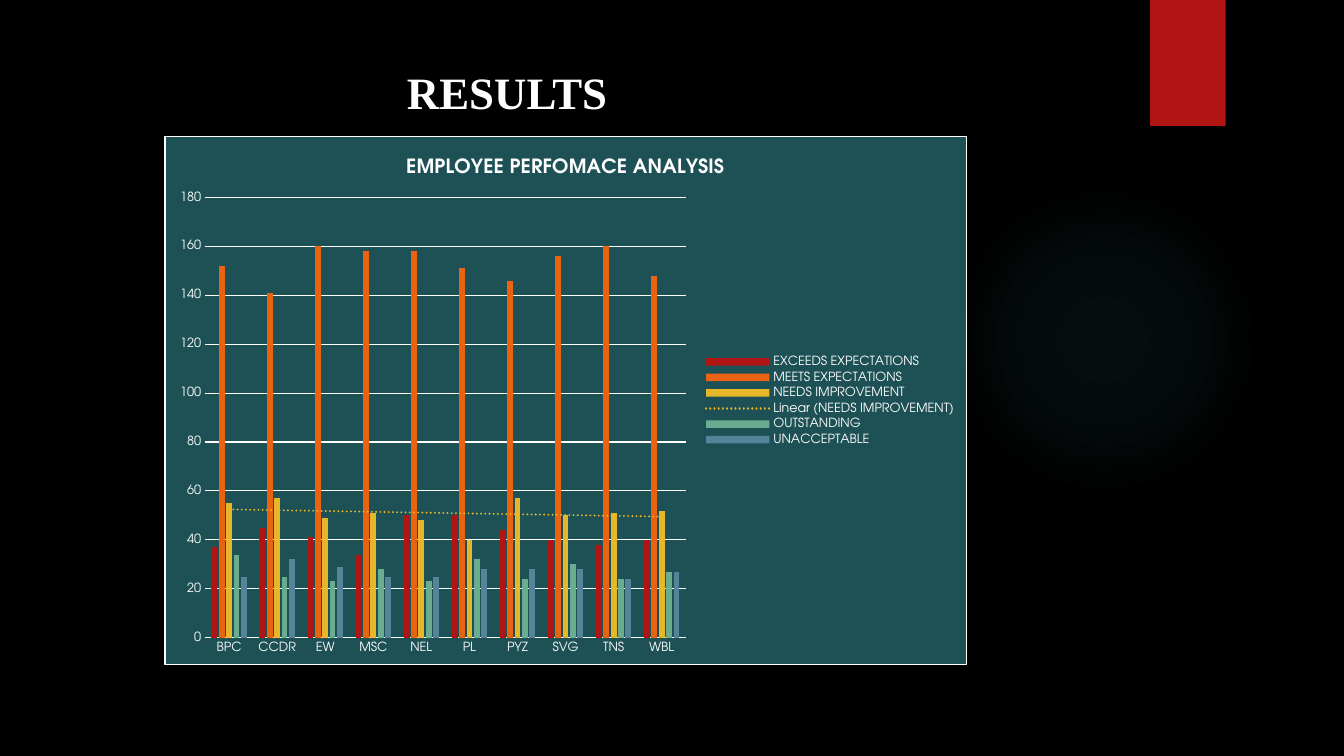
from pptx import Presentation
from pptx.chart.data import CategoryChartData
from pptx.dml.color import RGBColor
from pptx.enum.chart import XL_CHART_TYPE, XL_LEGEND_POSITION, XL_TICK_MARK
from pptx.enum.shapes import MSO_SHAPE
from pptx.enum.text import MSO_ANCHOR, PP_ALIGN
from pptx.oxml import parse_xml
from pptx.util import Pt

COLUMN = XL_CHART_TYPE.COLUMN_CLUSTERED
RIGHT = XL_LEGEND_POSITION.RIGHT
NONE = XL_TICK_MARK.NONE
OVAL, RECT = MSO_SHAPE.OVAL, MSO_SHAPE.RECTANGLE
MIDDLE, LEFT = MSO_ANCHOR.MIDDLE, PP_ALIGN.LEFT

BLACK = RGBColor(0x00, 0x00, 0x00)
WHITE = RGBColor(0xFF, 0xFF, 0xFF)
RED = RGBColor(0xB0, 0x15, 0x13)
ORANGE = RGBColor(0xEA, 0x63, 0x12)
YELLOW = RGBColor(0xE6, 0xB7, 0x29)
GREEN = RGBColor(0x6A, 0xAC, 0x90)
BLUE = RGBColor(0x54, 0x84, 0x9A)
TEAL = RGBColor(0x1E, 0x51, 0x55)
GLOW = RGBColor(0x50, 0xB9, 0xC1)

FACE = "TeX Gyre Adventor"
SPACES = (
    'xmlns:a="http://schemas.openxmlformats.org/drawingml/2006/main" '
    'xmlns:c="http://schemas.openxmlformats.org/drawingml/2006/chart"'
)
UNITS = ["BPC", "CCDR", "EW", "MSC", "NEL", "PL", "PYZ", "SVG", "TNS", "WBL"]
SERIES = [
    ("EXCEEDS EXPECTATIONS", RED, [37, 45, 41, 34, 50, 50, 44, 40, 38, 40]),
    ("MEETS EXPECTATIONS", ORANGE, [152, 141, 160, 158, 158, 151, 146, 156, 160, 148]),
    ("NEEDS IMPROVEMENT", YELLOW, [55, 57, 49, 51, 48, 40, 57, 50, 51, 52]),
    ("OUTSTANDING", GREEN, [34, 25, 23, 28, 23, 32, 24, 30, 24, 27]),
    ("UNACCEPTABLE", BLUE, [25, 32, 29, 25, 25, 28, 28, 28, 24, 27]),
]


def style(font, size, face=FACE, bold=False):
    font.size = Pt(size)
    font.name = face
    font.bold = bold
    font.color.rgb = WHITE


def stroke(line):
    line.color.rgb = WHITE
    line.width = Pt(0.75)


deck = Presentation()
deck.slide_width, deck.slide_height = Pt(960), Pt(540)
slide = deck.slides.add_slide(deck.slide_layouts[5])
slide.background.fill.solid()
slide.background.fill.fore_color.rgb = BLACK

glow = slide.shapes.add_shape(OVAL, Pt(677.5), Pt(131.75), Pt(221.75), Pt(221.75))
flag = slide.shapes.add_shape(RECT, Pt(821.5), Pt(0), Pt(54), Pt(90))
for shape in (glow, flag):
    shape.shadow.inherit = False
    shape.line.fill.background()
flag.fill.solid()
flag.fill.fore_color.rgb = RED

glow.fill.gradient()
stops = "".join(
    f'<a:gs pos="{spot * 1000}"><a:srgbClr val="{GLOW}">'
    f'<a:alpha val="{alpha * 1000}"/></a:srgbClr></a:gs>'
    for spot, alpha in ((0, 7), (36, 6), (69, 0))
)
blend = parse_xml(
    f'<a:gradFill {SPACES} rotWithShape="1"><a:gsLst>{stops}</a:gsLst>'
    '<a:path path="circle"><a:fillToRect l="50000" t="50000" r="50000" b="50000"/>'
    '</a:path></a:gradFill>'
)
props = glow._element.spPr
props.replace(props.gradFill, blend)

title = slide.shapes.title
title.left, title.top, title.width, title.height = Pt(283.5), Pt(42.5), Pt(546.5), Pt(46)
title.text_frame.text = "RESULTS"
title.text_frame.vertical_anchor = MIDDLE
head = title.text_frame.paragraphs[0]
head.alignment = LEFT
style(head.runs[0].font, 32, "Times New Roman", True)

data = CategoryChartData()
data.categories = UNITS
for name, color, vals in SERIES:
    data.add_series(name, vals)
frame = slide.shapes.add_chart(COLUMN, Pt(117.5), Pt(97.25), Pt(573), Pt(378), data)
chart = frame.chart
style(chart.font, 10)

chart.has_title = True
chart.chart_title.include_in_layout = False
label = chart.chart_title.text_frame
label.text = "EMPLOYEE PERFOMACE ANALYSIS"
style(label.paragraphs[0].runs[0].font, 14, bold=True)

chart.has_legend = True
chart.legend.position = RIGHT
chart.legend.include_in_layout = False
style(chart.legend.font, 9)

for axis in (chart.category_axis, chart.value_axis):
    axis.major_tick_mark = NONE
    axis.minor_tick_mark = NONE
    style(axis.tick_labels.font, 9)
stroke(chart.category_axis.format.line)
scale = chart.value_axis
scale.minimum_scale, scale.maximum_scale, scale.major_unit = 0, 180, 20
scale.format.line.fill.background()
scale.has_major_gridlines = True
stroke(scale.major_gridlines.format.line)

plot = chart.plots[0]
plot.gap_width = 219
plot.overlap = -27
plot.vary_by_categories = False
for bars, (name, color, vals) in zip(plot.series, SERIES):
    bars.invert_if_negative = False
    bars.format.fill.solid()
    bars.format.fill.fore_color.rgb = color

trend = parse_xml(
    f'<c:trendline {SPACES}><c:spPr><a:ln w="{Pt(1.5)}" cap="rnd"><a:solidFill>'
    f'<a:srgbClr val="{YELLOW}"/></a:solidFill><a:prstDash val="sysDot"/></a:ln></c:spPr>'
    '<c:trendlineType val="linear"/><c:dispRSqr val="0"/><c:dispEq val="0"/></c:trendline>'
)
plot.series[2]._element.find("{*}cat").addprevious(trend)

space = chart._chartSpace
area = space.chart.plotArea
for old in area.findall("{*}layout"):
    area.remove(old)
sides = "".join(
    f'<c:{side} val="{part}"/>'
    for side, part in (("x", 0.05), ("y", 0.115), ("w", 0.6), ("h", 0.834))
)
area.insert(0, parse_xml(
    f'<c:layout {SPACES}><c:manualLayout><c:layoutTarget val="inner"/>'
    f'<c:xMode val="edge"/><c:yMode val="edge"/>{sides}</c:manualLayout></c:layout>'
))
space.chart.addnext(parse_xml(
    f'<c:spPr {SPACES}><a:solidFill><a:srgbClr val="{TEAL}"/></a:solidFill>'
    f'<a:ln w="{Pt(0.75)}"><a:solidFill><a:srgbClr val="{WHITE}"/></a:solidFill></a:ln></c:spPr>'
))

deck.save("out.pptx")
